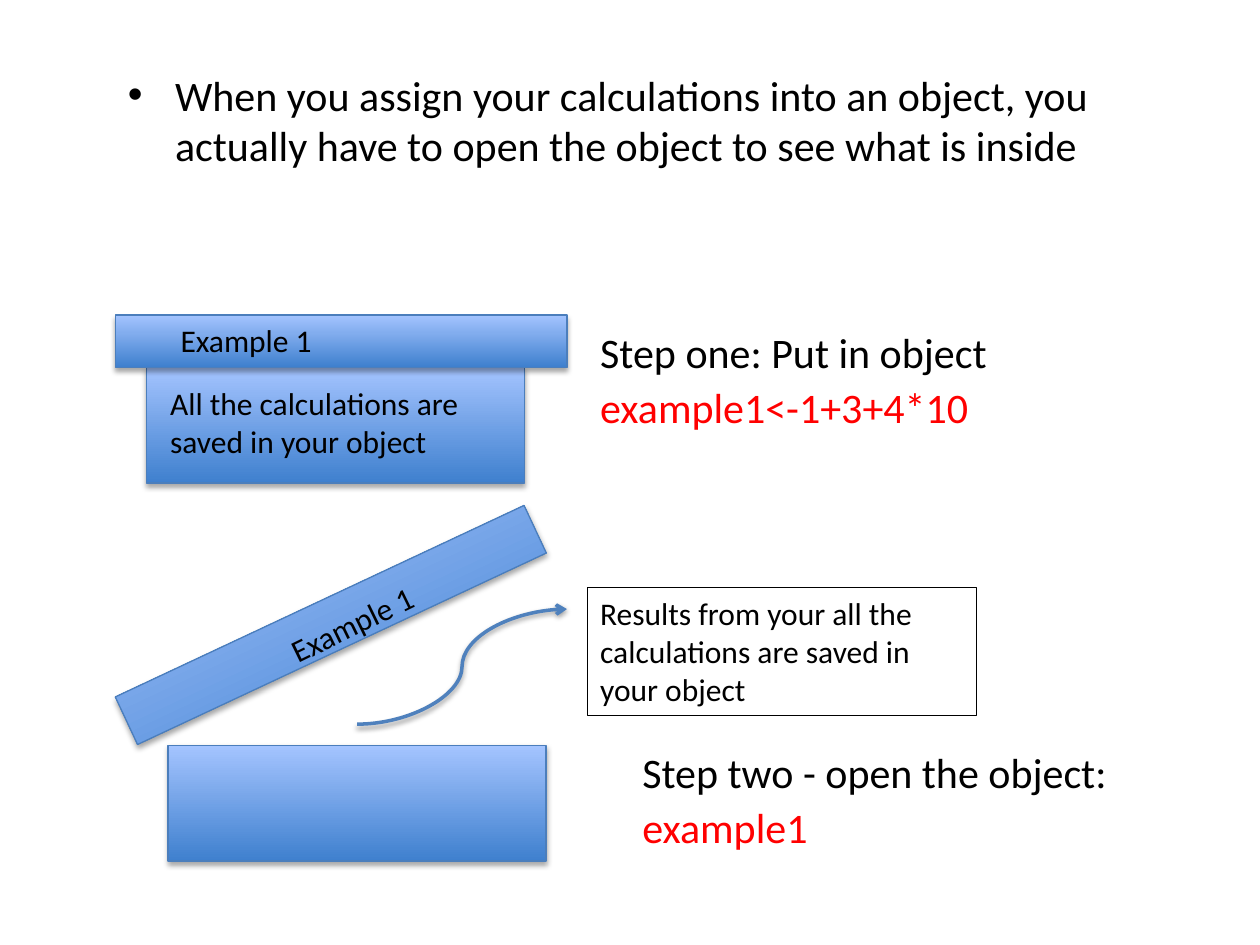
from dataclasses import dataclass

from lxml.etree import SubElement
from pptx import Presentation
from pptx.dml.color import RGBColor
from pptx.enum.shapes import MSO_CONNECTOR, MSO_SHAPE
from pptx.enum.text import MSO_AUTO_SIZE, PP_ALIGN
from pptx.oxml.ns import qn
from pptx.util import Cm, Pt

BLACK = RGBColor(0x00, 0x00, 0x00)
RED = RGBColor(0xFF, 0x00, 0x00)
DEEP_BLUE = RGBColor(0x3F, 0x80, 0xCE)
PALE_BLUE = RGBColor(0xA4, 0xC4, 0xFF)
EDGE_BLUE = RGBColor(0x4B, 0x7E, 0xBC)
ARROW_BLUE = RGBColor(0x4F, 0x81, 0xBD)
FONT = "Calibri"


@dataclass
class Frame:
    left: float
    top: float
    width: float
    height: float
    rotation: float = 0

    def lengths(self) -> tuple:
        return Cm(self.left), Cm(self.top), Cm(self.width), Cm(self.height)


@dataclass
class Label:
    frame: Frame
    lines: list[tuple[str, RGBColor]]
    size: int = 18
    align: PP_ALIGN = PP_ALIGN.LEFT
    spacing: float = 1.0
    outlined: bool = False
    bulleted: bool = False


def add_shadow(properties, opacity: int, distance: float) -> None:
    """Drop a soft black shadow straight down."""
    effects = SubElement(properties, qn("a:effectLst"))
    shadow = SubElement(effects, qn("a:outerShdw"), blurRad=str(Pt(3.1)),
                        dist=str(Pt(distance)), dir="5400000", rotWithShape="0")
    color = SubElement(shadow, qn("a:srgbClr"), val=str(BLACK))
    SubElement(color, qn("a:alpha"), val=str(opacity * 1000))


def add_panel(page, frame: Frame) -> None:
    panel = page.shapes.add_shape(MSO_SHAPE.RECTANGLE, *frame.lengths())
    panel.rotation = frame.rotation
    panel.fill.gradient()
    panel.fill.gradient_angle = 90
    for stop, position, color in zip(panel.fill.gradient_stops, (0, 1),
                                     (DEEP_BLUE, PALE_BLUE)):
        stop.position = position
        stop.color.rgb = color
    panel.line.color.rgb = EDGE_BLUE
    panel.line.width = Pt(0.75)
    add_shadow(panel._element.spPr, 35, 1.8)


def add_bullet(para) -> None:
    properties = para._p.get_or_add_pPr()
    properties.set("marL", str(Cm(0.95)))
    properties.set("indent", str(-Cm(0.95)))
    SubElement(properties, qn("a:buFont"), typeface="Arial")
    SubElement(properties, qn("a:buChar"), char="•")


def add_label(page, label: Label) -> None:
    box = page.shapes.add_textbox(*label.frame.lengths())
    box.rotation = label.frame.rotation
    if label.outlined:
        box.line.color.rgb = BLACK
        box.line.width = Pt(0.75)
    text = box.text_frame
    text.word_wrap = True
    text.auto_size = MSO_AUTO_SIZE.SHAPE_TO_FIT_TEXT
    for index, (wording, color) in enumerate(label.lines):
        para = text.add_paragraph() if index else text.paragraphs[0]
        para.text = wording
        para.alignment = label.align
        para.line_spacing = label.spacing
        if label.bulleted:
            add_bullet(para)
        para.font.name = FONT
        para.font.size = Pt(label.size)
        para.font.color.rgb = color


def add_curved_arrow(page, start: tuple[float, float], end: tuple[float, float]) -> None:
    arrow = page.shapes.add_connector(MSO_CONNECTOR.CURVE,
                                      *(Cm(value) for value in start + end))
    arrow.line.color.rgb = ARROW_BLUE
    arrow.line.width = Pt(2)
    SubElement(arrow.line._get_or_add_ln(), qn("a:tailEnd"), type="arrow")
    add_shadow(arrow._element.spPr, 38, 1.6)


def main() -> None:
    deck = Presentation()
    deck.slide_width, deck.slide_height = Cm(25.4), Cm(19.05)
    page = deck.slides.add_slide(deck.slide_layouts[6])

    # Closed box: body, then lid
    add_panel(page, Frame(2.96, 7.41, 7.62, 2.33))
    add_label(page, Label(Frame(3.18, 7.62, 7.83, 1.8),
                          [("All the calculations are saved in your object", BLACK)]))
    add_panel(page, Frame(2.33, 6.35, 9.1, 1.06))
    add_label(page, Label(Frame(3.39, 6.35, 7.83, 1.03), [("Example 1", BLACK)]))

    # Open box: body, result and tilted lid
    add_panel(page, Frame(3.39, 15.03, 7.62, 2.33))
    add_label(page, Label(
        Frame(11.85, 11.85, 7.83, 2.57),
        [("Results from your all the calculations are saved in your object", BLACK)],
        outlined=True))
    add_panel(page, Frame(2.12, 12.07, 9.1, 1.06, rotation=334.9))
    add_label(page, Label(Frame(3.18, 12.07, 7.83, 1.03, rotation=334),
                          [("Example 1", BLACK)], align=PP_ALIGN.CENTER))
    add_curved_arrow(page, (7.2, 14.6), (11.43, 12.28))

    # Statement and the two steps
    add_label(page, Label(
        Frame(2.33, 1.27, 20.74, 2.31),
        [("When you assign your calculations into an object, you actually have "
          "to open the object to see what is inside", BLACK)],
        size=24, bulleted=True))
    add_label(page, Label(
        Frame(11.85, 6.35, 9.1, 2.5),
        [("Step one: Put in object", BLACK), ("example1<-1+3+4*10", RED)],
        size=24, spacing=1.1))
    add_label(page, Label(
        Frame(12.7, 14.82, 10.58, 2.5),
        [("Step two - open the object:", BLACK), ("example1", RED)],
        size=24, spacing=1.1))

    deck.save("out.pptx")


if __name__ == "__main__":
    main()
